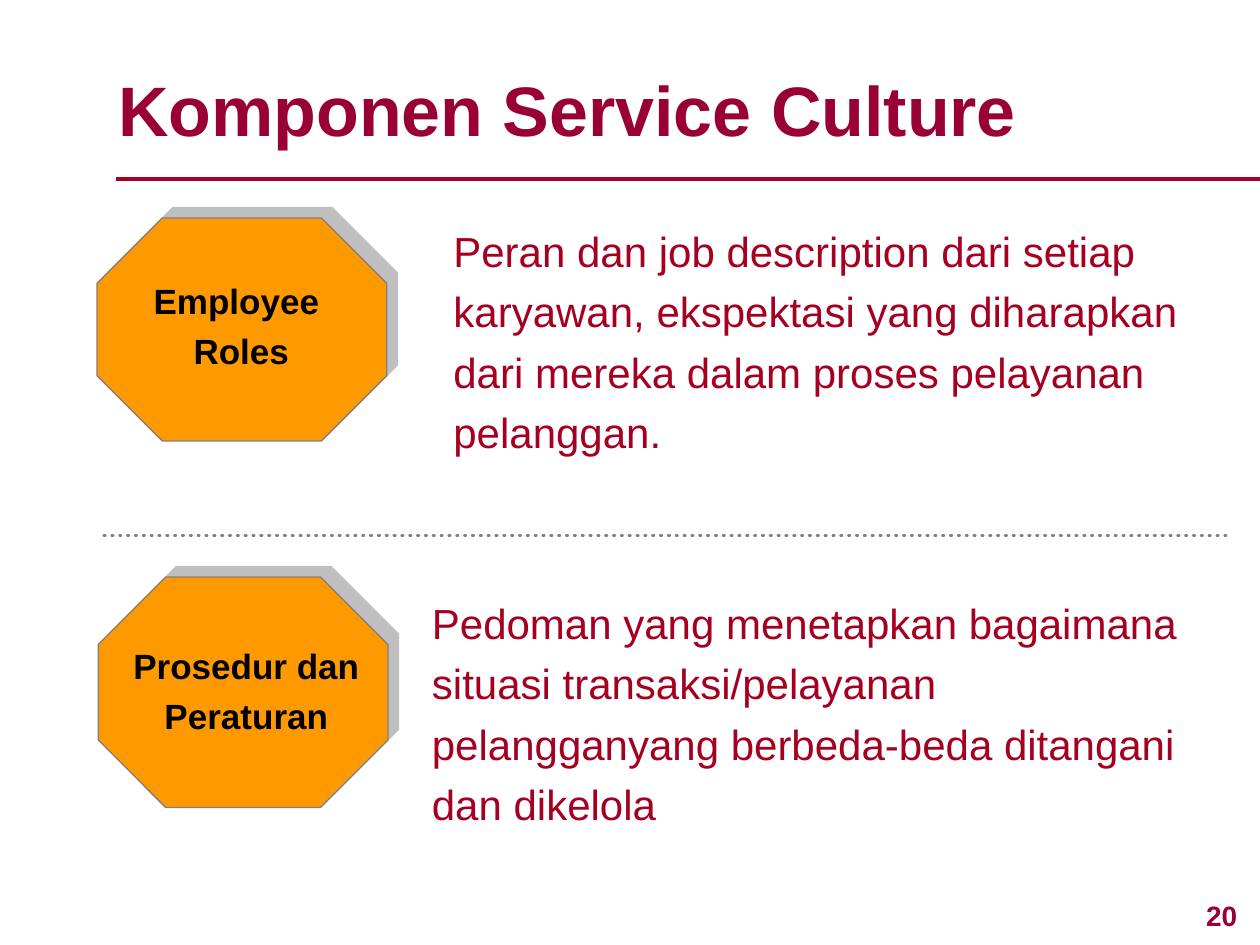
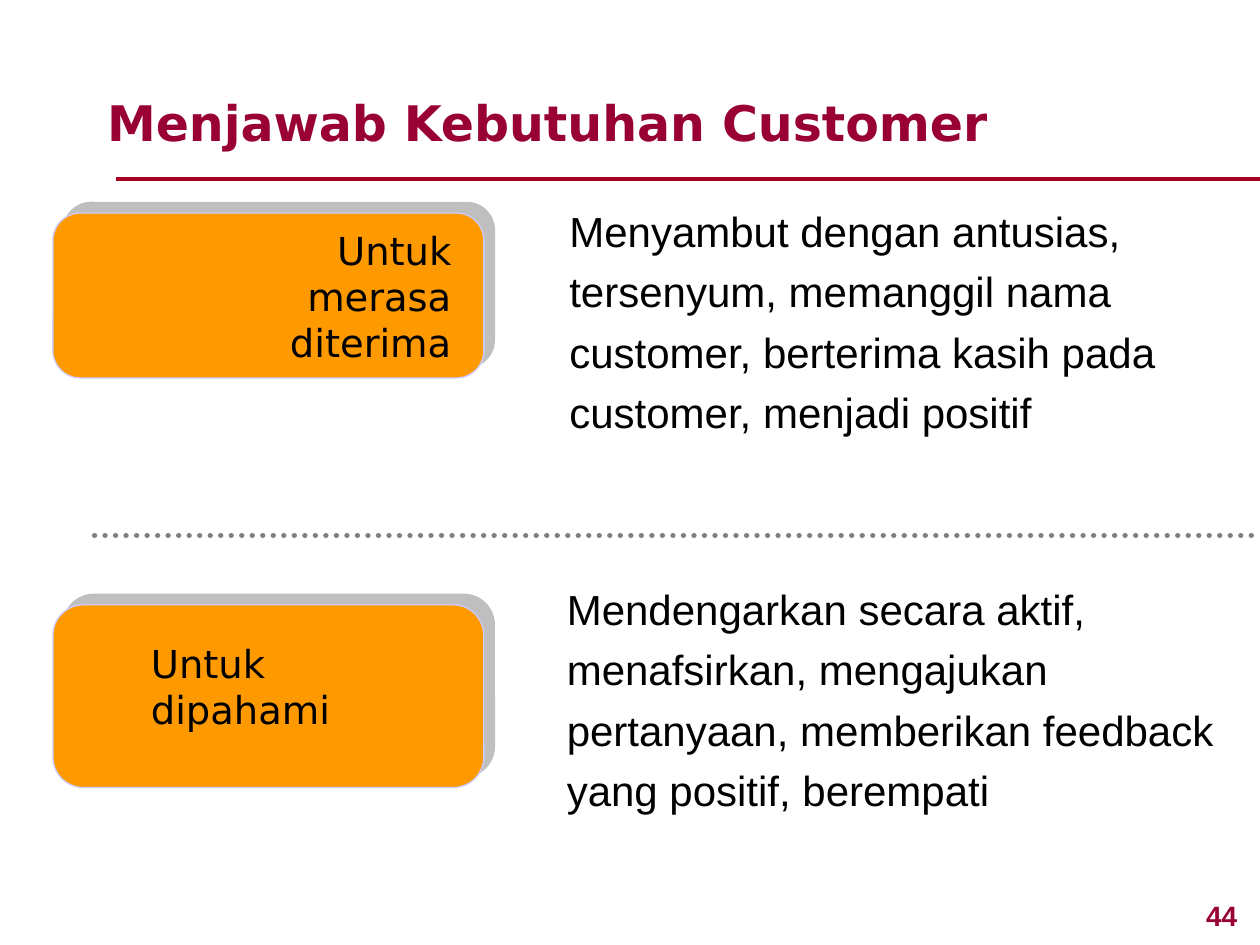
from dataclasses import dataclass

import pptx
import pptx.dml.color
import pptx.enum.dml
import pptx.enum.shapes
import pptx.enum.text
import pptx.oxml
import pptx.oxml.ns
import pptx.util
from pptx.util import Inches

Align = pptx.enum.text.PP_ALIGN
Kind = pptx.enum.shapes.MSO_SHAPE
Box = tuple[float, float, float, float]

WINE = "990033"
RED = "A50021"
ORANGE = "FF9900"
GRAY = "808080"
LILAC = "CCCCFF"
BLACK = "000000"
SANS = "Arial"
WIDE = "DejaVu Sans"


@dataclass
class Style:
    size: int
    color: str = BLACK
    font: str = SANS
    bold: bool = False
    space: float = 1.0
    align: Align = Align.LEFT


@dataclass
class Text:
    words: str
    box: Box
    style: Style


@dataclass
class Badge:
    box: Box
    label: Text


@dataclass
class Page:
    title: Text
    number: str
    kind: Kind
    corner: float
    edge: str
    badges: list[Badge]
    notes: list[Text]
    split: tuple[float, float, float]  # start, end, line width


def rgb(color: str) -> pptx.dml.color.RGBColor:
    return pptx.dml.color.RGBColor.from_string(color)


def place(shape, box: Box) -> None:
    shape.left, shape.top, shape.width, shape.height = map(Inches, box)


def write(shape, text: Text) -> None:
    """Put the styled words in a text box or placeholder."""
    frame, style = shape.text_frame, text.style
    frame.text = text.words
    frame.word_wrap = True
    frame.auto_size = pptx.enum.text.MSO_AUTO_SIZE.NONE
    frame.vertical_anchor = pptx.enum.text.MSO_ANCHOR.TOP
    for par in frame.paragraphs:
        par.alignment = style.align
        par.line_spacing = style.space
        par.font.name = style.font
        par.font.size = pptx.util.Pt(style.size)
        par.font.bold = style.bold
        par.font.color.rgb = rgb(style.color)


def add_text(slide, text: Text) -> None:
    write(slide.shapes.add_textbox(*map(Inches, text.box)), text)


def add_line(slide, start: float, end: float, y: float, color: str,
             width: float, dots: bool = False) -> None:
    line = slide.shapes.add_connector(
        pptx.enum.shapes.MSO_CONNECTOR.STRAIGHT,
        Inches(start), Inches(y), Inches(end), Inches(y))
    line.line.color.rgb = rgb(color)
    line.line.width = pptx.util.Pt(width)
    if dots:
        line.line.dash_style = pptx.enum.dml.MSO_LINE.ROUND_DOT
        line.line._get_or_add_ln().set("cap", "rnd")
    line._element.spPr.append(pptx.oxml.parse_xml(
        f"<a:effectLst {pptx.oxml.ns.nsdecls('a')}/>"))


def cast(shape) -> None:
    """Give the shape a half-clear gray shadow up and to the right."""
    shape.shadow.inherit = False
    effects = shape._element.spPr.find(pptx.oxml.ns.qn("a:effectLst"))
    effects.append(pptx.oxml.parse_xml(
        f'<a:outerShdw {pptx.oxml.ns.nsdecls("a")} dist="{pptx.util.Pt(8.5)}" '
        f'dir="{315 * 60000}" algn="ctr" rotWithShape="0">'
        f'<a:srgbClr val="{GRAY}"><a:alpha val="50000"/></a:srgbClr>'
        "</a:outerShdw>"))


def add_badge(slide, page: Page, badge: Badge) -> None:
    shape = slide.shapes.add_shape(page.kind, *map(Inches, badge.box))
    shape.adjustments[0] = page.corner
    shape.fill.solid()
    shape.fill.fore_color.rgb = rgb(ORANGE)
    shape.line.color.rgb = rgb(page.edge)
    shape.line.width = pptx.util.Pt(0.75)
    cast(shape)
    add_text(slide, badge.label)


def add_page(deck, page: Page) -> None:
    slide = deck.slides.add_slide(deck.slide_layouts.get_by_name("Title Only"))
    place(slide.shapes.title, page.title.box)
    write(slide.shapes.title, page.title)
    add_line(slide, 0.92, 10, 1.42, RED, 2.25)
    add_text(slide, Text(page.number, (9.39, 7.08, 0.61, 0.37), FOOT))
    for badge in page.badges:
        add_badge(slide, page, badge)
    for note in page.notes:
        add_text(slide, note)
    start, end, width = page.split
    add_line(slide, start, end, 4.25, GRAY, width, dots=True)


FOOT = Style(16, WINE, bold=True, align=Align.CENTER)
LABEL = Style(20, bold=True, space=1.2, align=Align.CENTER)
RED_NOTE = Style(24, RED, space=1.2)
NOTE = Style(24, space=1.2)

PAGES = [
    Page(
        Text("Komponen Service Culture", (0.84, 0.48, 8.32, 0.77),
             Style(40, WINE, bold=True)),
        "20", Kind.OCTAGON, 0.293, GRAY,
        [Badge((0.77, 1.73, 2.3, 1.77),
               Text("Employee \nRoles", (0.75, 2.1, 2.33, 0.9), LABEL)),
         Badge((0.78, 4.58, 2.3, 1.83),
               Text("Prosedur dan Peraturan", (0.83, 5, 2.25, 0.9), LABEL))],
        [Text("Peran dan job description dari setiap karyawan, ekspektasi "
              "yang diharapkan dari mereka dalam proses pelayanan pelanggan.",
              (3.5, 1.66, 6.25, 2.02), RED_NOTE),
         Text("Pedoman yang menetapkan bagaimana situasi transaksi/pelayanan "
              "pelangganyang berbeda-beda ditangani dan dikelola",
              (3.33, 4.61, 6.5, 2.02), RED_NOTE)],
        (0.83, 9.75, 2.25)),
    Page(
        Text("Menjawab Kebutuhan Customer", (0.75, 0.59, 8.83, 0.66),
             Style(28, WINE, WIDE, bold=True, space=1.2)),
        "44", Kind.ROUNDED_RECTANGLE, 0.167, LILAC,
        [Badge((0.42, 1.69, 3.42, 1.31),
               Text("Untuk merasa\n diterima", (1.46, 1.75, 2.22, 1.2),
                    Style(22, font=WIDE, align=Align.RIGHT))),
         Badge((0.42, 4.8, 3.42, 1.45),
               Text("Untuk dipahami", (1.1, 5.03, 2.5, 0.84),
                    Style(22, font=WIDE)))],
        [Text("Menyambut dengan antusias, tersenyum, memanggil nama customer, "
              "berterima kasih pada customer, menjadi positif",
              (4.42, 1.5, 5.17, 2.02), NOTE),
         Text("Mendengarkan secara aktif, menafsirkan, mengajukan pertanyaan, "
              "memberikan feedback yang positif, berempati",
              (4.4, 4.5, 5.6, 2.02), NOTE)],
        (0.75, 10, 3)),
]


def main() -> None:
    deck = pptx.Presentation()
    deck.slide_width, deck.slide_height = Inches(10), Inches(7.5)
    for page in PAGES:
        add_page(deck, page)
    deck.save("out.pptx")


if __name__ == "__main__":
    main()
